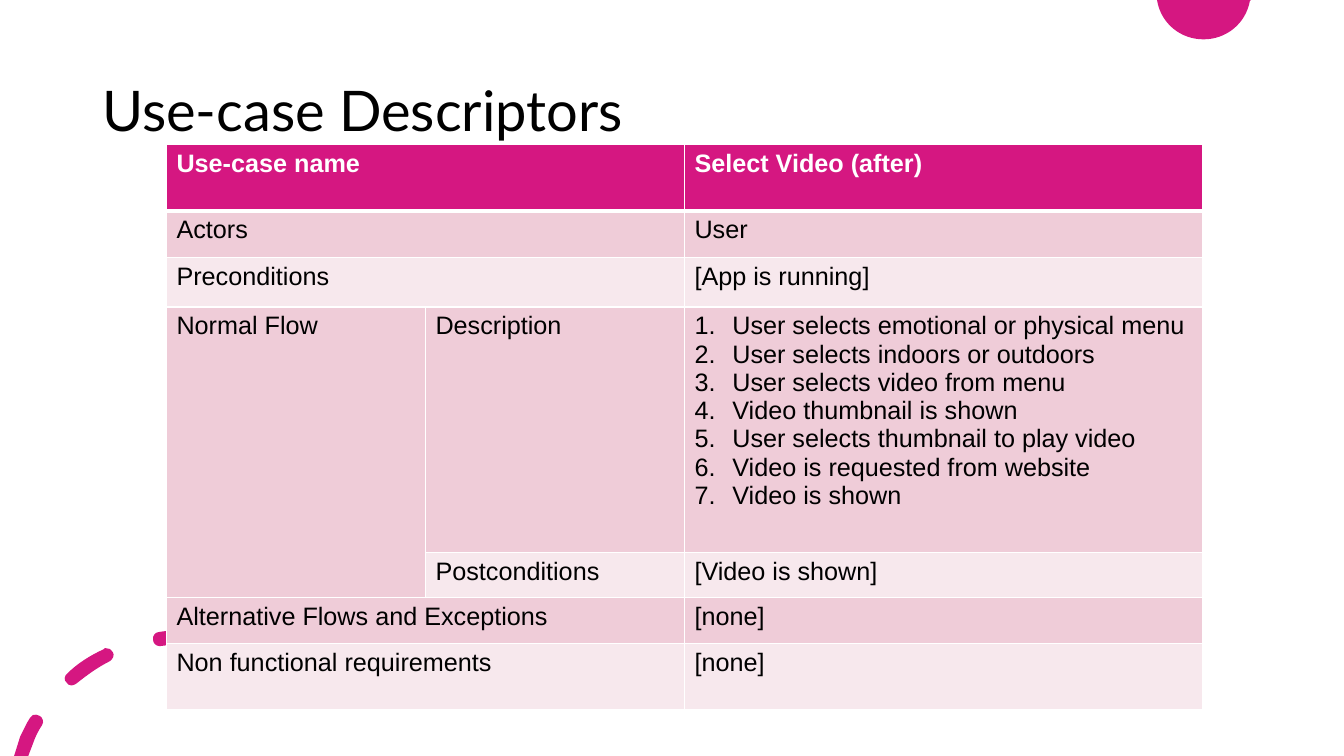
"""Build the use-case descriptor slide."""
from dataclasses import dataclass

from lxml import etree
from pptx import Presentation
from pptx import util as u
from pptx.dml.color import RGBColor
from pptx.enum import text
from pptx.oxml import ns

PINK, ROSE, BLUSH = "D51781", "EFCCD8", "F7E8ED"
WHITE, BLACK = "FFFFFF", "000000"
LIST_INDENT = 27


@dataclass(frozen=True)
class Outline:
    """A closed contour: two numbers make a line, six make a Bézier curve."""
    start: tuple[float, float]
    segments: list[tuple[float, ...]]


@dataclass(frozen=True)
class Row:
    """One table row; a detail splits the left side in two."""
    height: float
    fill: str
    label: str
    value: str
    detail: str = ""
    numbered: bool = False


CIRCLE = [Outline((826.6, 0), [
    (893.5, 0), (892.8, 0.7),
    (889.9, 16.6, 876.2, 28.1, 859.7, 28.1),
    (843.1, 28.1, 829.4, 16.6, 826.6, 0.7)])]

DASHES = [
    Outline((25.9, 510.5), [
        (24.5, 509.8, 22.3, 511.2, 21.6, 512.6),
        (18.7, 517, 16.6, 522, 14.4, 526.3),
        (10.1, 540), (20.2, 540), (23.8, 530.6),
        (25.2, 526.3, 27.4, 522, 30.2, 517.7),
        (31.7, 515.5, 30.2, 511.9, 28.1, 511.2),
        (27.4, 510.5, 26.6, 510.5, 25.9, 510.5)]),
    Outline((75.6, 463), [
        (74.9, 463, 74.2, 463, 74.2, 463.7),
        (64.8, 468, 55.4, 473.8, 48.2, 481),
        (46.1, 482.4, 45.4, 486, 47.5, 487.4),
        (48.2, 488.9, 49.7, 489.6, 51.1, 489.6),
        (51.1, 489.6),
        (52.6, 489.6, 53.3, 488.9, 54.7, 488.2),
        (61.9, 482.4, 69.8, 476.6, 78.5, 472.3),
        (80.6, 470.9, 82.1, 468, 80.6, 465.8),
        (79.9, 463.7, 77.8, 463, 75.6, 463)]),
    Outline((128.9, 450), [
        (123.8, 450, 118.8, 450.7, 113.8, 451.4),
        (110.9, 451.4, 108.7, 454.3, 109.4, 457.2),
        (109.4, 459.4, 111.6, 461.5, 113.8, 461.5),
        (114.5, 461.5, 114.5, 461.5, 114.5, 461.5),
        (124.6, 460.1, 133.9, 460.1, 143.3, 460.8),
        (146.2, 461.5, 149, 459.4, 149, 457.2),
        (149.8, 454.3, 147.6, 451.4, 144.7, 451.4),
        (144.7, 451.4, 144.7, 451.4, 144.7, 451.4),
        (139.7, 450.7, 133.9, 450, 128.9, 450)]),
]

FLOW = "\n".join([
    "User selects emotional or physical menu",
    "User selects indoors or outdoors",
    "User selects video from menu",
    "Video thumbnail is shown",
    "User selects thumbnail to play video",
    "Video is requested from website",
    "Video is shown",
])

ROWS = [
    Row(47.3, PINK, "Use-case name", "Select Video (after)"),
    Row(33.7, ROSE, "Actors", "User"),
    Row(35.2, BLUSH, "Preconditions", "[App is running]"),
    Row(175.3, ROSE, "Normal Flow", FLOW, "Description", True),
    Row(32.3, BLUSH, "", "[Video is shown]", "Postconditions"),
    Row(32.7, ROSE, "Alternative Flows and Exceptions", "[none]"),
    Row(47.3, BLUSH, "Non functional requirements", "[none]"),
]
COLUMNS = [185, 185, 370]


def color(value: str) -> RGBColor:
    return RGBColor.from_string(value)


def bend_segments(shape, segments: list[tuple[float, ...]]) -> None:
    lines = list(shape._element.iter(ns.qn("a:lnTo")))
    for line, segment in zip(lines, segments):
        if len(segment) == 2:
            continue
        curve = etree.Element(ns.qn("a:cubicBezTo"))
        for x, y in zip(segment[::2], segment[1::2]):
            etree.SubElement(curve, ns.qn("a:pt"), x=str(u.Pt(x) - shape.left),
                             y=str(u.Pt(y) - shape.top))
        line.getparent().replace(line, curve)


def draw_outlines(page, outlines: list[Outline]) -> None:
    builder = page.shapes.build_freeform(*map(u.Pt, outlines[0].start))
    for index, outline in enumerate(outlines):
        if index:
            builder.move_to(*map(u.Pt, outline.start))
        ends = [(u.Pt(part[-2]), u.Pt(part[-1])) for part in outline.segments]
        builder.add_line_segments(ends, close=True)
    shape = builder.convert_to_shape()
    bend_segments(shape, [part for outline in outlines for part in outline.segments])
    shape.shadow.inherit = False
    shape.fill.solid()
    shape.fill.fore_color.rgb = color(PINK)
    shape.line.fill.background()


def format_runs(para, font: str, size: float, ink: str, bold: bool = False) -> None:
    for span in para.runs:
        span.font.name = font
        span.font.size = u.Pt(size)
        span.font.bold = bold
        span.font.color.rgb = color(ink)


def draw_title(page) -> None:
    box = page.shapes.add_textbox(u.Pt(66), u.Pt(28.8), u.Pt(828), u.Pt(104.4))
    frame = box.text_frame
    frame.word_wrap = True
    frame.vertical_anchor = text.MSO_ANCHOR.MIDDLE
    frame.text = "Use-case Descriptors"
    para = frame.paragraphs[0]
    para.line_spacing = 0.9
    format_runs(para, "Lato", 40, BLACK)


def add_borders(cell, widths: dict[str, float]) -> None:
    properties = cell._tc.get_or_add_tcPr()
    for side, width in widths.items():
        line = etree.SubElement(properties, ns.qn(f"a:ln{side}"), w=str(u.Pt(width)))
        fill = etree.SubElement(line, ns.qn("a:solidFill"))
        etree.SubElement(fill, ns.qn("a:srgbClr"), val=WHITE)


def number_paragraph(para) -> None:
    properties = para._p.get_or_add_pPr()
    properties.set("marL", str(u.Pt(LIST_INDENT)))
    properties.set("indent", str(u.Pt(-LIST_INDENT)))
    etree.SubElement(properties, ns.qn("a:buFont"), typeface="+mj-lt")
    etree.SubElement(properties, ns.qn("a:buAutoNum"), type="arabicPeriod")


def draw_table(page) -> None:
    frame = page.shapes.add_table(
        len(ROWS), len(COLUMNS), u.Pt(118.9), u.Pt(103.2),
        u.Pt(sum(COLUMNS)), u.Pt(sum(row.height for row in ROWS)))
    table = frame.table
    table.first_row = table.horz_banding = False
    for column, width in zip(table.columns, COLUMNS):
        column.width = u.Pt(width)
    for index, row in enumerate(ROWS):
        table.rows[index].height = u.Pt(row.height)
        header = index == 0
        widths = {"L": 1, "R": 1, "T": 3 if index == 1 else 1, "B": 3 if header else 1}
        for column, content in enumerate((row.label, row.detail, row.value)):
            cell = table.cell(index, column)
            add_borders(cell, widths)
            cell.fill.solid()
            cell.fill.fore_color.rgb = color(row.fill)
            cell.text_frame.text = content
            for para in cell.text_frame.paragraphs:
                if row.numbered and column == 2:
                    number_paragraph(para)
                format_runs(para, "Arial", 18, WHITE if header else BLACK, header)
        if not row.detail:
            table.cell(index, 0).merge(table.cell(index, 1))
        elif not row.label:
            table.cell(index - 1, 0).merge(table.cell(index, 0))


def main() -> None:
    deck = Presentation()
    deck.slide_width, deck.slide_height = u.Pt(960), u.Pt(540)
    page = deck.slides.add_slide(deck.slide_layouts[6])
    draw_outlines(page, CIRCLE)
    draw_outlines(page, DASHES)
    draw_title(page)
    draw_table(page)
    deck.save("out.pptx")


if __name__ == "__main__":
    main()
